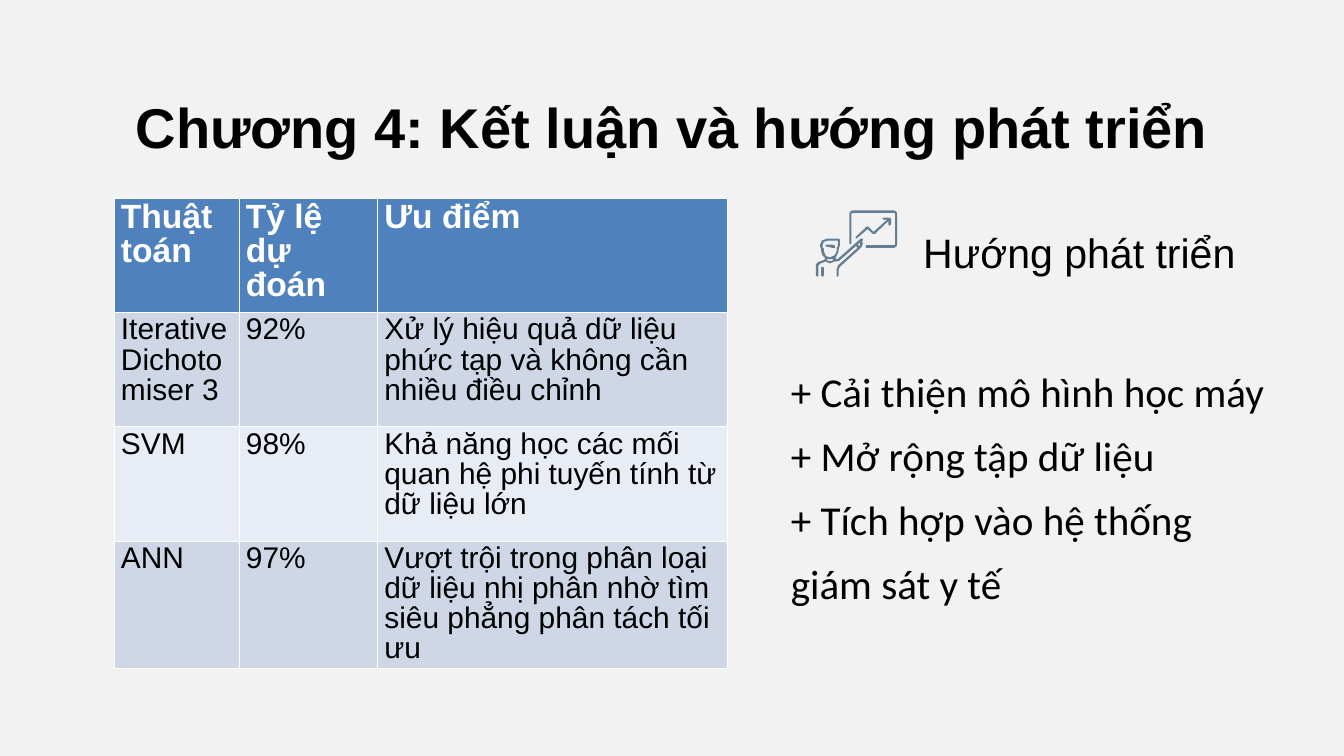
from pptx import Presentation
from pptx.dml.color import RGBColor
from pptx.enum.text import MSO_ANCHOR, PP_ALIGN
from pptx.util import Inches, Pt

TOP, MIDDLE = MSO_ANCHOR.TOP, MSO_ANCHOR.MIDDLE
LEFT, CENTER = PP_ALIGN.LEFT, PP_ALIGN.CENTER

BACKGROUND, BLACK, WHITE = "F2F2F2", "000000", "FFFFFF"
HEADER_FILL, BAND_FILLS = "4F81BD", ("CFD7E7", "E8ECF4")
ICON_COLOR = "657E93"

TITLE = "Chương 4: Kết luận và hướng phát triển"
HEADING = "Hướng phát triển"
DIRECTIONS = [
    "+ Cải thiện mô hình học máy",
    "+ Mở rộng tập dữ liệu",
    "+ Tích hợp vào hệ thống giám sát y tế",
]
COLUMN_WIDTHS = (1.86, 2.06, 5.21)
ROW_HEIGHT = 1.7
ALGORITHMS = [
    ("Thuật toán", "Tỷ lệ dự đoán", "Ưu điểm"),
    ("Iterative Dichotomiser 3", "92%",
     "Xử lý hiệu quả dữ liệu phức tạp và không cần nhiều điều chỉnh"),
    ("SVM", "98%",
     "Khả năng học các mối quan hệ phi tuyến tính từ dữ liệu lớn"),
    ("ANN", "97%",
     "Vượt trội trong phân loại dữ liệu nhị phân nhờ tìm siêu phẳng phân tách tối ưu"),
]

# Icon parts: each is a list of closed contours, in hundredths of an inch.
HAIR = [[(1230, 364), (1228, 365), (1230, 367), (1240, 369), (1242, 369),
         (1243, 368), (1242, 365), (1238, 364)]]
ARM = [[(1224, 397), (1222, 398), (1222, 410), (1224, 412), (1226, 410), (1226, 398)]]
PRESENTER = [
    [(1280, 361), (1280, 365), (1279, 366), (1276, 364)],
    [(1247, 358), (1247, 365), (1245, 370), (1245, 374), (1242, 380), (1235, 383),
     (1229, 381), (1226, 374), (1226, 370), (1224, 368), (1224, 365), (1226, 360),
     (1232, 358)],
    [(1239, 385), (1240, 387), (1238, 388), (1235, 389), (1232, 388), (1231, 387),
     (1231, 385), (1235, 386)],
    [(1231, 355), (1223, 358), (1220, 365), (1222, 371), (1222, 374), (1224, 380),
     (1228, 384), (1228, 385), (1226, 387), (1220, 389), (1216, 391), (1214, 395),
     (1214, 410), (1216, 412), (1218, 410), (1218, 395), (1221, 392), (1227, 390),
     (1229, 389), (1230, 390), (1235, 392), (1240, 390), (1242, 389), (1245, 389),
     (1249, 388), (1274, 366), (1276, 369), (1247, 395), (1245, 401), (1245, 410),
     (1246, 412), (1248, 410), (1248, 401), (1250, 397), (1282, 368), (1284, 363),
     (1283, 359), (1284, 358), (1284, 355), (1281, 355), (1246, 386), (1245, 386),
     (1243, 384), (1244, 383), (1248, 374), (1248, 371), (1250, 365), (1250, 357),
     (1248, 355)],
]
BOARD = [[(1269, 313), (1265, 315), (1264, 318), (1264, 362), (1265, 364), (1267, 362),
          (1267, 318), (1269, 317), (1330, 317), (1332, 318), (1332, 364), (1330, 365),
          (1289, 365), (1288, 367), (1289, 369), (1330, 369), (1334, 367), (1335, 364),
          (1335, 318), (1334, 315), (1330, 313)]]
TREND_ARROW = [[(1315, 324), (1313, 325), (1315, 327), (1320, 327), (1300, 345),
                (1292, 337), (1290, 337), (1274, 352), (1273, 353), (1275, 355),
                (1276, 354), (1291, 341), (1299, 348), (1302, 348), (1322, 329),
                (1322, 334), (1324, 336), (1326, 334), (1326, 325), (1324, 324)]]


def rgb(value):
    return RGBColor.from_string(value)


def write(tf, lines, font, size, color=BLACK, bold=False, spacing=None, align=LEFT):
    for i, line in enumerate(lines):
        p = tf.paragraphs[0] if i == 0 else tf.add_paragraph()
        p.alignment = align
        p.line_spacing = spacing
        r = p.add_run()
        r.text = line
        r.font.name, r.font.size, r.font.bold = font, Pt(size), bold
        r.font.color.rgb = rgb(color)


def add_text(s, box, lines, font, size, margins=(0.1, 0.05), anchor=TOP, **style):
    tf = s.shapes.add_textbox(*map(Inches, box)).text_frame
    tf.word_wrap = True
    tf.vertical_anchor = anchor
    tf.margin_left = tf.margin_right = Inches(margins[0])
    tf.margin_top = tf.margin_bottom = Inches(margins[1])
    write(tf, lines, font, size, **style)


def add_algorithm_table(s, left, top):
    rows, cols = len(ALGORITHMS), len(COLUMN_WIDTHS)
    table = s.shapes.add_table(
        rows, cols, Inches(left), Inches(top),
        Inches(sum(COLUMN_WIDTHS)), Inches(rows * ROW_HEIGHT)).table
    for column, width in zip(table.columns, COLUMN_WIDTHS):
        column.width = Inches(width)
    for i, row in enumerate(ALGORITHMS):
        header = i == 0
        for j, text in enumerate(row):
            cell = table.cell(i, j)
            cell.fill.solid()
            cell.fill.fore_color.rgb = rgb(HEADER_FILL if header else BAND_FILLS[(i - 1) % 2])
            write(cell.text_frame, [text], "Arial", 36 if header else 32,
                  WHITE if header else BLACK, header, 0.9)


def add_icon_part(s, contours):
    first, *others = contours
    builder = s.shapes.build_freeform(*first[0], scale=Inches(0.01))
    builder.add_line_segments(first[1:], close=True)
    for contour in others:
        builder.move_to(*contour[0])
        builder.add_line_segments(contour[1:], close=True)
    sp = builder.convert_to_shape()
    sp.shadow.inherit = False
    sp.fill.solid()
    sp.fill.fore_color.rgb = rgb(ICON_COLOR)
    sp.line.fill.background()


def main():
    prs = Presentation()
    prs.slide_width, prs.slide_height = Inches(20), Inches(11.25)
    s = prs.slides.add_slide(prs.slide_layouts[6])
    s.background.fill.solid()
    s.background.fill.fore_color.rgb = rgb(BACKGROUND)

    add_algorithm_table(s, 1.7, 2.95)
    add_text(s, (1.56, 1.08, 16.88, 1.4), [TITLE], "Arial", 60, margins=(0, 0),
             anchor=MIDDLE, bold=True, spacing=1.2, align=CENTER)
    add_text(s, (11.67, 5.19, 7.48, 4.54), DIRECTIONS, "Calibri", 44, spacing=1.3)
    for part in (HAIR, ARM, PRESENTER, BOARD, TREND_ARROW):
        add_icon_part(s, part)
    add_text(s, (13.64, 3.34, 5.77, 0.84), [HEADING], "Arial", 44)
    prs.save("out.pptx")


if __name__ == "__main__":
    main()
